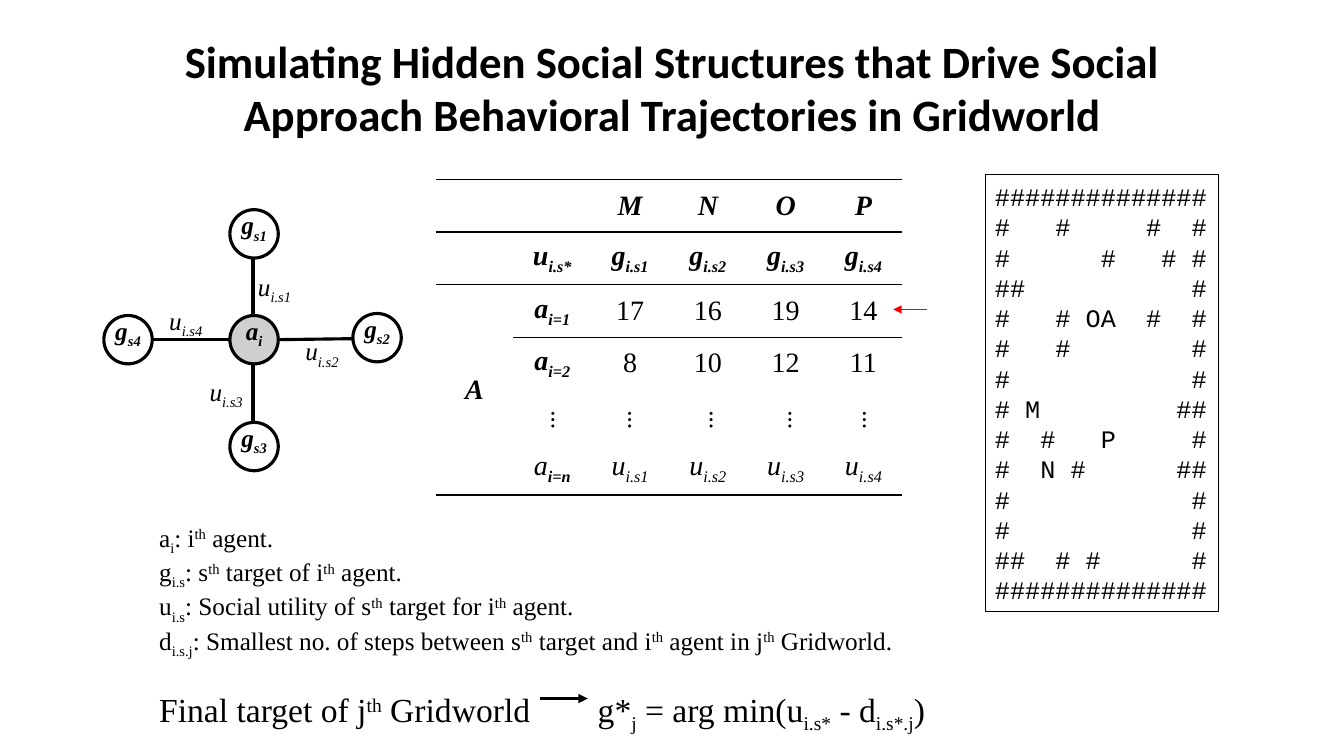
from lxml import etree
from pptx import Presentation, util as u
from pptx.dml.color import RGBColor
from pptx.enum import shapes as s, text as t
from pptx.oxml.ns import qn

PX = 9144  # 100 px to the inch
BLACK = RGBColor(0, 0, 0)
WHITE = RGBColor(255, 255, 255)
GREY = RGBColor(0xD0, 0xCE, 0xCE)
RED = RGBColor(255, 0, 0)
LEFT, MID = t.PP_ALIGN.LEFT, t.PP_ALIGN.CENTER
SERIF = "Times New Roman"
BASE = {"_": "-25000", "^": "30000"}
PLAIN = {"name": SERIF, "size": u.Pt(18), "bold": False, "italic": False}
ITAL = PLAIN | {"italic": True}
BOLD = ITAL | {"bold": True}


def write(para, words, form, align=LEFT):
    """Runs are split by |; a leading _ lowers a run and ^ raises it."""
    para.alignment = align
    for part in words.split("|"):
        run = para.add_run()
        run.text = part.lstrip("_^")
        for key, val in form.items():
            setattr(run.font, key, val)
        run.font.color.rgb = BLACK
        if part[0] in BASE:
            run._r.get_or_add_rPr().set("baseline", BASE[part[0]])


def link(ends, color, width, head=False):
    line = slide.shapes.add_connector(
        s.MSO_CONNECTOR.STRAIGHT, *[n * PX for n in ends])
    line.line.color.rgb = color
    line.line.width = u.Pt(width)
    if head:
        etree.SubElement(line.line._get_or_add_ln(), qn("a:tailEnd"), type="triangle")
    etree.SubElement(line._element.spPr, qn("a:effectLst"))


deck = Presentation()
deck.slide_width, deck.slide_height = 1333 * PX, 750 * PX
slide = deck.slides.add_slide(deck.slide_layouts[5])

# Title
title = slide.shapes.title
spot = {"left": 92, "top": 14, "width": 1150, "height": 145}
for key, val in spot.items():
    setattr(title, key, val * PX)
for side in ("left", "right", "top", "bottom"):
    setattr(title.text_frame, "margin_" + side, 13 * PX)
title.text_frame.vertical_anchor = t.MSO_ANCHOR.MIDDLE
write(title.text_frame.paragraphs[0],
      "Simulating Hidden Social Structures that Drive Social "
      "Approach Behavioral Trajectories in Gridworld",
      {"name": "Calibri", "size": u.Pt(32), "bold": True}, MID)

# Utility table
rows = [
    ["", "", "M", "N", "O", "P"],
    ["", "u|_i.s*"] + [f"g|_i.s{n}" for n in range(1, 5)],
    ["A", "a|_i=1", "17", "16", "19", "14"],
    ["", "a|_i=2", "8", "10", "12", "11"],
    [""] * 6,
    ["", "a|_i=n"] + [f"u|_i.s{n}" for n in range(1, 5)],
]
grid = slide.shapes.add_table(6, 6, *[n * PX for n in (432, 178, 463, 313)]).table
grid.first_row = grid.horz_banding = False
style = grid._tbl.tblPr.find(qn("a:tableStyleId"))
style.text = "{2D5ABB26-0587-4C30-8999-92F81FD0307C}"
for r, row in enumerate(rows):
    for c, words in enumerate(row):
        cell = grid.cell(r, c)
        cell.vertical_anchor = t.MSO_ANCHOR.MIDDLE
        if words:
            form = PLAIN if words.isdigit() else ITAL if r == 5 else BOLD
            para = cell.text_frame.paragraphs[0]
            write(para, words, form | {"size": u.Pt(20)}, MID)
            if words == "a|_i=n":
                para.runs[1].font.bold = True
        edges = []
        if r == 0:
            edges.append(("a:lnT", 1.5))
        if r in (0, 1, 5) or r == 2 and c or words == "A":
            edges.append(("a:lnB", 1))
        for tag, width in edges:
            edge = etree.SubElement(cell._tc.get_or_add_tcPr(), qn(tag),
                                    w=str(u.Pt(width)))
            ink = etree.SubElement(edge, qn("a:solidFill"))
            etree.SubElement(ink, qn("a:srgbClr"), val=str(BLACK))
        cell.fill.background()
grid.cell(2, 0).merge(grid.cell(5, 0))

# Vertical dots in the table
for x in (515, 591, 672, 750, 824):
    dots = slide.shapes.add_textbox(*[n * PX for n in (x, 397, 84, 40)])
    dots.rotation = 90
    dots.text_frame.word_wrap = True
    write(dots.text_frame.paragraphs[0], "…", {"name": "Calibri", "size": u.Pt(18)}, MID)

# Agent and target nodes
nodes = [(228, 208, "g|_s1"), (228, 419, "g|_s3"), (350, 311, "g|_s2"),
         (103, 313, "g|_s4"), (228, 313, "a|_i")]
for x, y, words in nodes:
    node = slide.shapes.add_shape(s.MSO_SHAPE.OVAL, *[n * PX for n in (x, y, 48, 48)])
    node.shadow.inherit = False
    node.line.color.rgb = BLACK
    node.line.width = u.Pt(2.25)
    if words == "a|_i":
        node.fill.solid()
        node.fill.fore_color.rgb = GREY
    else:
        node.fill.background()
    name = slide.shapes.add_textbox(*[n * PX for n in (x, y - 5, 48, 40)])
    name.text_frame.word_wrap = False
    write(name.text_frame.paragraphs[0], words, BOLD, MID)

# Links and their utilities
for ends in ((251, 256, 251, 313), (350, 336, 275, 337),
             (150, 337, 228, 337), (251, 419, 251, 362)):
    link(ends, BLACK, 2.25)
for n, (x, y) in enumerate([(246, 264), (293, 328), (198, 368), (158, 298)], 1):
    tag = slide.shapes.add_textbox(x * PX, y * PX, 63 * PX, 40 * PX)
    tag.text_frame.word_wrap = True
    write(tag.text_frame.paragraphs[0], f"u|_i.s{n}", ITAL)

# Definitions and final target
notes = [
    "a|_i|: i|^th| agent.",
    "g|_i.s|: s|^th| target of i|^th| agent.",
    "u|_i.s|: Social utility of s|^th| target for i|^th| agent.",
    "d|_i.s.j|: Smallest no. of steps between s|^th| target and i|^th"
    "| agent in j|^th| Gridworld.",
]
frame = slide.shapes.add_textbox(*[n * PX for n in (148, 513, 838, 202)]).text_frame
frame.word_wrap = True
for n, words in enumerate(notes):
    write(frame.add_paragraph() if n else frame.paragraphs[0], words, PLAIN)
goal = frame.add_paragraph()
tabs = etree.SubElement(goal._p.get_or_add_pPr(), qn("a:tabLst"))
etree.SubElement(tabs, qn("a:tab"), pos=str(435 * PX), algn="l")
goal.space_before = u.Pt(21)
write(goal, "Final target of j|^th| Gridworld\tg*|_j| = arg min(u|_i.s*| - d|_i.s*.j|)",
      PLAIN | {"size": u.Pt(24)})
link((536, 693, 583, 693), BLACK, 2.25, True)

# Gridworld map
world = """\
##############
#   #     #  #
#      #   # #
##           #
#   # OA  #  #
#   #        #
#            #
# M         ##
#  #   P     #
#  N #      ##
#            #
#            #
##  # #      #
##############"""
board = slide.shapes.add_shape(s.MSO_SHAPE.RECTANGLE,
                               *[n * PX for n in (977, 173, 232, 434)])
board.shadow.inherit = False
board.fill.solid()
board.fill.fore_color.rgb = WHITE
board.line.color.rgb = BLACK
board.line.width = u.Pt(0.75)
frame = board.text_frame
frame.word_wrap = True
for n, words in enumerate(world.split("\n")):
    para = frame.add_paragraph() if n else frame.paragraphs[0]
    para.line_spacing = u.Pt(21.6)
    write(para, words, {"name": "Courier New", "size": u.Pt(18)})

# Marker of the chosen row
link((919, 307, 886, 307), RED, 1, True)

deck.save("out.pptx")
